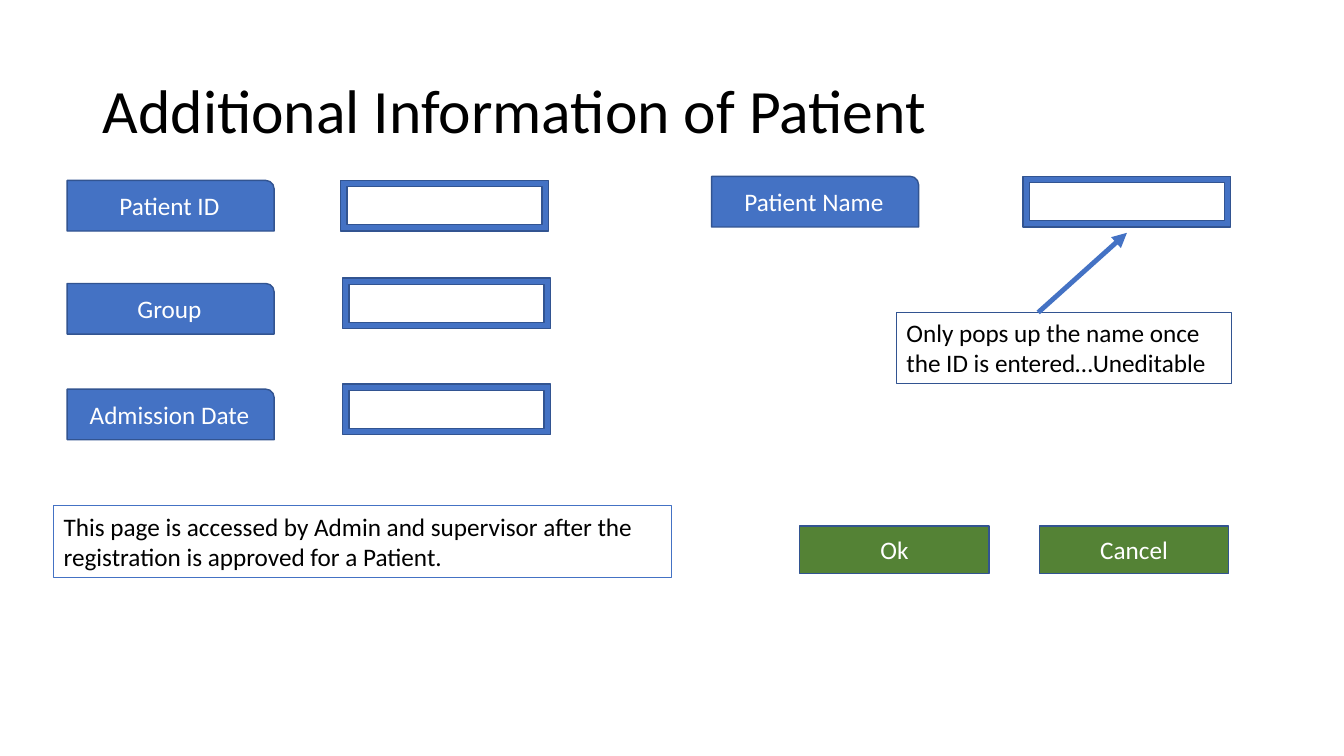
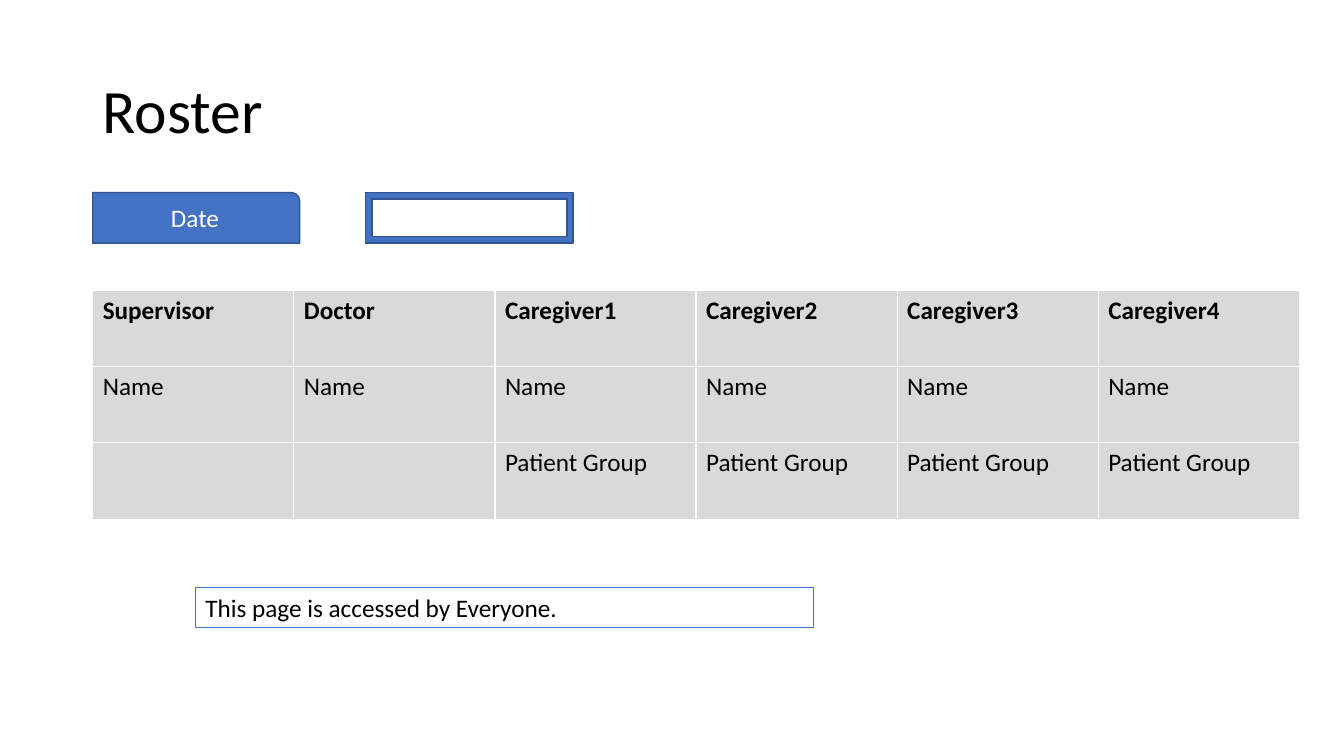
from pptx import Presentation
from pptx.dml.color import RGBColor
from pptx.enum.shapes import MSO_CONNECTOR, MSO_SHAPE
from pptx.enum.text import MSO_ANCHOR, MSO_AUTO_SIZE, PP_ALIGN
from pptx.oxml.ns import qn
from pptx.util import Inches, Pt
from lxml import etree

LABEL, FRAME, RECT = MSO_SHAPE.ROUND_1_RECTANGLE, MSO_SHAPE.FRAME, MSO_SHAPE.RECTANGLE
STRAIGHT = MSO_CONNECTOR.STRAIGHT
TOP, MIDDLE = MSO_ANCHOR.TOP, MSO_ANCHOR.MIDDLE
LEFT, CENTER = PP_ALIGN.LEFT, PP_ALIGN.CENTER
NO_FIT, GROW = MSO_AUTO_SIZE.NONE, MSO_AUTO_SIZE.SHAPE_TO_FIT_TEXT

COLORS = {"text": "000000", "light": "FFFFFF", "blue": "4472C4",
          "edge": "325491", "green": "548235", "cell": "D9D9D9"}
FONTS = {"title": {"name": "Calibri", "size": Pt(44), "bold": False},
         "body": {"name": "Calibri", "size": Pt(18), "bold": False},
         "head": {"name": "Calibri", "size": Pt(18), "bold": True}}
FIELD_H = 6.7


class Deck:
    """Hold the shared style and the current slide; lengths are percentages of the slide."""

    def __init__(self):
        self.prs = Presentation()
        self.prs.slide_width, self.prs.slide_height = Inches(13.333), Inches(7.5)

    def area(self, *lengths):
        sides = (self.prs.slide_width, self.prs.slide_height)
        return [int(sides[i % 2] * v / 100) for i, v in enumerate(lengths)]

    def color(self, name):
        return RGBColor.from_string(COLORS[name])

    def label(self, tf, text, style="body", color="text", align=LEFT):
        p = tf.paragraphs[0]
        p.alignment = align
        r = p.add_run()
        r.text = text
        for key, value in FONTS[style].items():
            setattr(r.font, key, value)
        r.font.color.rgb = self.color(color)
        return p

    def outline(self, line, color, width):
        line.color.rgb = self.color(color)
        line.width = Pt(width)

    def slide(self, title):
        self.s = self.prs.slides.add_slide(self.prs.slide_layouts[5])
        sp = self.s.shapes.title
        sp.left, sp.top, sp.width, sp.height = self.area(6.9, 5.33, 86.25, 19.33)
        tf = sp.text_frame
        tf.vertical_anchor, tf.auto_size = MIDDLE, NO_FIT
        self.label(tf, title, "title").line_spacing = 0.9

    def shape(self, kind, x, y, w, h, fill="blue", text=""):
        sp = self.s.shapes.add_shape(kind, *self.area(x, y, w, h))
        sp.shadow.inherit = False
        sp.fill.solid()
        sp.fill.fore_color.rgb = self.color(fill)
        self.outline(sp.line, "edge", 1)
        if text:
            sp.text_frame.vertical_anchor = MIDDLE
            self.label(sp.text_frame, text, color="light", align=CENTER)

    def field(self, text, x, y, frame_x, frame_y):
        self.shape(FRAME, frame_x, frame_y, 15.45, FIELD_H)
        self.shape(LABEL, x, y, 15.4, FIELD_H, text=text)

    def button(self, text, x, y):
        self.shape(RECT, x, y, 14.1, 6.27, "green", text)

    def note(self, text, x, y, w, h, edge="blue"):
        sp = self.s.shapes.add_textbox(*self.area(x, y, w, h))
        self.outline(sp.line, edge, 0.75)
        tf = sp.text_frame
        tf.word_wrap, tf.auto_size, tf.vertical_anchor = True, GROW, TOP
        self.label(tf, text)

    def arrow(self, x1, y1, x2, y2):
        c = self.s.shapes.add_connector(STRAIGHT, *self.area(x1, y1, x2, y2))
        self.outline(c.line, "blue", 3.5)
        props = c.element.spPr
        etree.SubElement(props.find(qn("a:ln")), qn("a:tailEnd"), type="triangle")
        etree.SubElement(props, qn("a:effectLst"))

    def table(self, rows, x, y, w, h):
        table = self.s.shapes.add_table(len(rows), len(rows[0]), *self.area(x, y, w, h)).table
        for i, row in enumerate(rows):
            for j, text in enumerate(row):
                cell = table.cell(i, j)
                cell.fill.solid()
                cell.fill.fore_color.rgb = self.color("cell")
                if text:
                    self.label(cell.text_frame, text, "body" if i else "head")


def main():
    deck = Deck()

    deck.slide("Additional Information of Patient")
    for text, y, frame_x, frame_y in (("Patient ID", 23.87, 25.35, 23.87),
                                      ("Group", 37.5, 25.5, 36.8),
                                      ("Admission Date", 51.47, 25.5, 50.8)):
        deck.field(text, 5, y, frame_x, frame_y)
    deck.field("Patient Name", 52.95, 23.33, 76.13, 23.33)
    for text, x in (("Ok", 59.5), ("Cancel", 77.33)):
        deck.button(text, x, 69.6)
    deck.note("Only pops up the name once the ID is entered…Uneditable",
              66.7, 41.33, 24.9, 9.47, "edge")
    deck.arrow(77.25, 41.33, 83.85, 30.8)
    deck.note("This page is accessed by Admin and supervisor after the "
              "registration is approved for a Patient.", 4, 66.93, 46, 9.47)

    deck.slide("Roster")
    caregivers = [f"Caregiver{n}" for n in range(1, 5)]
    deck.table([["Supervisor", "Doctor"] + caregivers,
                ["Name"] * 6,
                ["", ""] + ["Patient Group"] * 4], 6.9, 38.4, 89.78, 30.27)
    deck.field("Date", 6.9, 25.47, 27.2, 25.47)
    deck.note("This page is accessed by Everyone.", 14.55, 77.73, 46, 5.33)

    deck.prs.save("out.pptx")


if __name__ == "__main__":
    main()
